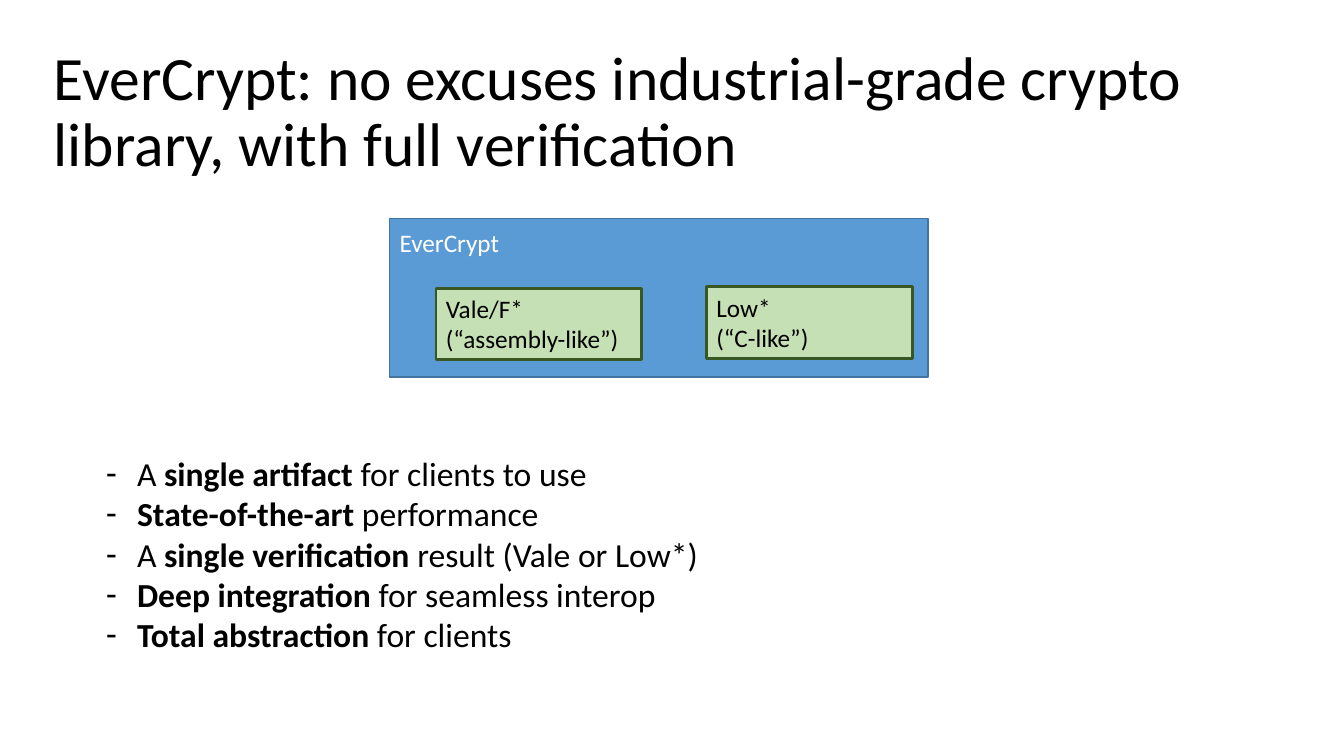
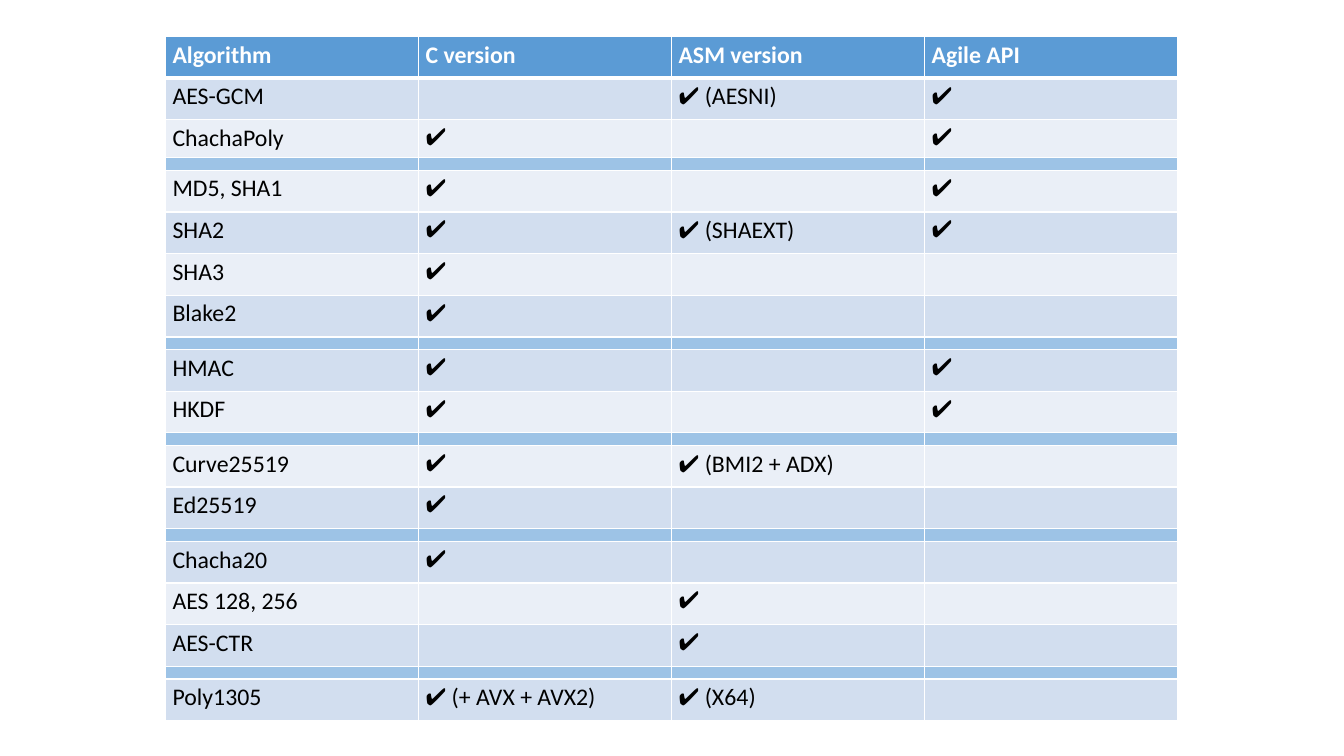
import pptx
import pptx.dml.color
import pptx.enum.shapes
import pptx.enum.text
import pptx.oxml.ns
import pptx.util
from lxml import etree

# The slide is a grid of 160 columns by 90 rows of square units
COLUMNS, ROWS = 160, 90
UNIT = pptx.util.Inches(1) / 12

FONT, CHECK_FONT = "Calibri", "Karla"
BLACK, WHITE = "000000", "FFFFFF"
BLUE, BLUE_EDGE = "5B9BD5", "43739E"
GREEN, GREEN_EDGE = "C5E0B4", "385723"
BANDS = ("EAEFF7", "D2DEEF")
DIVIDER = "9DC3E6"
CHECK = "✔"

BULLETS = [
    [("A ", False), ("single artifact ", True), ("for clients to use", False)],
    [("State-of-the-art", True), (" performance", False)],
    [("A ", False), ("single verification", True), (" result (Vale or Low*)", False)],
    [("Deep integration", True), (" for seamless interop", False)],
    [("Total abstraction", True), (" for clients", False)],
]

# An empty tuple is a thin divider row
ALGORITHMS = [
    ("Algorithm", "C version", "ASM version", "Agile API"),
    ("AES-GCM", "", "✔ (AESNI)", "✔"),
    ("ChachaPoly", "✔", "", "✔"),
    (),
    ("MD5, SHA1", "✔", "", "✔"),
    ("SHA2", "✔", "✔ (SHAEXT)", "✔"),
    ("SHA3", "✔", "", ""),
    ("Blake2", "✔", "", ""),
    (),
    ("HMAC", "✔", "", "✔"),
    ("HKDF", "✔", "", "✔"),
    (),
    ("Curve25519", "✔", "✔ (BMI2 + ADX)", ""),
    ("Ed25519", "✔", "", ""),
    (),
    ("Chacha20", "✔", "", ""),
    ("AES 128, 256", "", "✔", ""),
    ("AES-CTR", "", "✔", ""),
    (),
    ("Poly1305", "✔ (+ AVX + AVX2)", "✔ (X64)", ""),
]


def grid(units):
    return pptx.util.Emu(round(units * UNIT))


def place(box):
    return [grid(units) for units in box]


def inside(box, left, top, width, height):
    return box[0] + left, box[1] + top, width, height


def color(hex_code):
    return pptx.dml.color.RGBColor.from_string(hex_code)


def paint(shape, fill, edge, weight):
    shape.shadow.inherit = False
    shape.fill.solid()
    shape.fill.fore_color.rgb = color(fill)
    shape.line.color.rgb = color(edge)
    shape.line.width = pptx.util.Pt(weight)


def add_span(para, text, size, shade=BLACK, bold=False, font=FONT):
    span = para.add_run()
    span.text = text
    span.font.name = font
    span.font.size = pptx.util.Pt(size)
    span.font.bold = bold
    span.font.color.rgb = color(shade)


def add_rectangle(page, box, fill, edge, weight):
    shape = page.shapes.add_shape(
        pptx.enum.shapes.MSO_SHAPE.RECTANGLE, *place(box))
    paint(shape, fill, edge, weight)
    return shape


def move_placeholder(holder, box, anchor):
    holder.left, holder.top, holder.width, holder.height = place(box)
    frame = holder.text_frame
    frame.word_wrap = True
    frame.auto_size = pptx.enum.text.MSO_AUTO_SIZE.NONE
    frame.vertical_anchor = anchor
    return frame


def fill_title(page, box, text):
    frame = move_placeholder(
        page.shapes.title, box, pptx.enum.text.MSO_ANCHOR.MIDDLE)
    para = frame.paragraphs[0]
    para.alignment = pptx.enum.text.PP_ALIGN.LEFT
    para.line_spacing = 0.9
    add_span(para, text, 44)


def fill_bullets(page, box, items):
    frame = move_placeholder(
        page.placeholders[1], box, pptx.enum.text.MSO_ANCHOR.TOP)
    indent = pptx.util.Inches(0.31)
    for index, spans in enumerate(items):
        para = frame.paragraphs[0] if index == 0 else frame.add_paragraph()
        para.space_before = pptx.util.Pt(0)
        para.line_spacing = 1.0
        properties = para._p.get_or_add_pPr()
        properties.set("marL", str(indent))
        properties.set("indent", str(-indent))
        bullet = etree.SubElement(properties, pptx.oxml.ns.qn("a:buChar"))
        bullet.set("char", "-")
        for text, bold in spans:
            add_span(para, text, 24, bold=bold)


def add_language_chip(page, box, lines):
    chip = add_rectangle(page, box, GREEN, GREEN_EDGE, 2)
    frame = chip.text_frame
    frame.word_wrap = True
    frame.vertical_anchor = pptx.enum.text.MSO_ANCHOR.TOP
    para = frame.paragraphs[0]
    para.alignment = pptx.enum.text.PP_ALIGN.LEFT
    for index, line in enumerate(lines):
        if index:
            para.add_line_break()
        add_span(para, line, 18)


def add_library_panel(page, box):
    add_rectangle(page, box, BLUE, BLUE_EDGE, 1)
    label = page.shapes.add_textbox(*place(inside(box, 0, 0.5, 22.3, 4.8)))
    label.text_frame.word_wrap = True
    add_span(label.text_frame.paragraphs[0], "EverCrypt", 18, WHITE)
    add_language_chip(page, inside(box, 5.5, 8.3, 24.5, 8.5),
                      ["Vale/F*", "(“assembly-like”)"])
    add_language_chip(page, inside(box, 37.7, 8.15, 24.5, 8.5),
                      ["Low*", "(“C-like”)"])


def set_borders(cell, weights):
    properties = cell._tc.get_or_add_tcPr()
    for side in ("lnL", "lnR", "lnT", "lnB"):
        line = etree.SubElement(properties, pptx.oxml.ns.qn("a:" + side))
        line.set("w", str(pptx.util.Pt(weights.get(side, 1))))
        solid = etree.SubElement(line, pptx.oxml.ns.qn("a:solidFill"))
        etree.SubElement(solid, pptx.oxml.ns.qn("a:srgbClr")).set("val", WHITE)


def fill_cell(cell, text, fill, size, header, margins):
    cell.margin_left = cell.margin_right = pptx.util.Inches(margins[0])
    cell.margin_top = cell.margin_bottom = pptx.util.Inches(margins[1])
    cell.fill.solid()
    cell.fill.fore_color.rgb = color(fill)
    para = cell.text_frame.paragraphs[0]
    if text.startswith(CHECK):
        add_span(para, CHECK, size, font=CHECK_FONT)
        text = text[len(CHECK):]
    elif not text:
        # An empty cell keeps its row low only through its end mark
        end = etree.SubElement(para._p, pptx.oxml.ns.qn("a:endParaRPr"))
        end.set("sz", str(size * 100))
    if text:
        add_span(para, text, size, WHITE if header else BLACK, header)


def add_algorithm_table(page, box, rows):
    count = len(rows[0])
    table = page.shapes.add_table(len(rows), count, *place(box)).table
    for column in table.columns:
        column.width = grid(box[2] / count)
    divider_height, short_height, short_row = 1.5, 4.5, 2
    dividers = sum(not texts for texts in rows)
    full_height = ((box[3] - dividers * divider_height - short_height)
                   / (len(rows) - dividers - 1))
    for index, texts in enumerate(rows):
        header = index == 0
        if not texts:
            height, fill, size, margins = divider_height, DIVIDER, 2, (0.07, 0)
        else:
            height = short_height if index == short_row else full_height
            fill = BLUE if header else BANDS[index % 2]
            size, margins = 17, (0.07, 0.04)
        table.rows[index].height = grid(height)
        weights = {0: {"lnB": 3}, 1: {"lnT": 3}}.get(index, {})
        for column, text in enumerate(texts or [""] * count):
            cell = table.cell(index, column)
            set_borders(cell, weights)
            fill_cell(cell, text, fill, size, header, margins)


def build_overview(deck):
    page = deck.slides.add_slide(deck.slide_layouts[1])
    fill_title(page, (5.2, 4.8, 150, 17.4),
               "EverCrypt: no excuses industrial-grade crypto library, "
               "with full verification")
    add_library_panel(page, (46.4, 26, 64.1, 18.9))
    fill_bullets(page, (11.4, 53.3, 137, 36), BULLETS)


def build_algorithms(deck):
    page = deck.slides.add_slide(deck.slide_layouts[6])
    add_algorithm_table(page, (19.7, 4.35, 120.5, 81.5), ALGORITHMS)


def main():
    deck = pptx.Presentation()
    deck.slide_width, deck.slide_height = grid(COLUMNS), grid(ROWS)
    build_overview(deck)
    build_algorithms(deck)
    deck.save("out.pptx")


if __name__ == "__main__":
    main()
